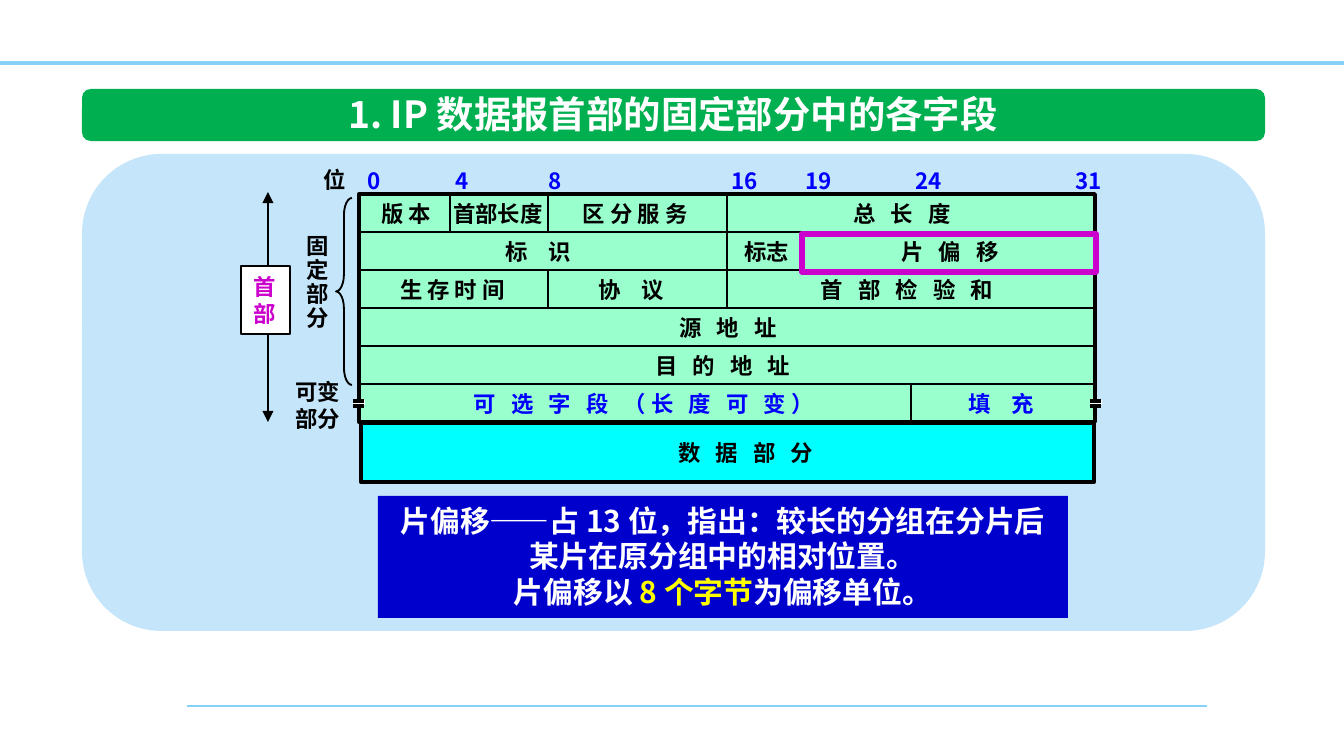
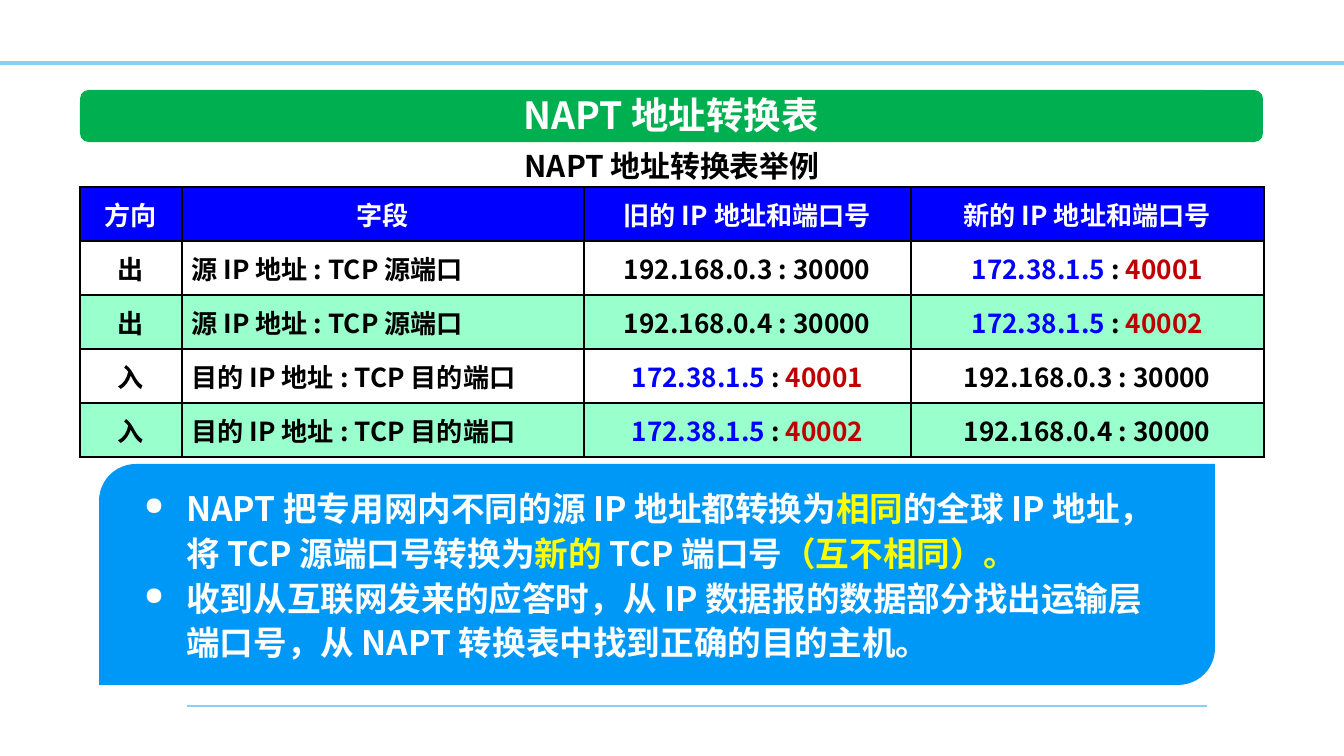
from lxml import etree
from pptx import Presentation
from pptx import util as u
from pptx.dml.color import RGBColor
from pptx.enum import shapes, text
from pptx.oxml.ns import qn

PX = 914400 / 134.4
FONT = "Noto Sans CJK SC"
KIND = shapes.MSO_SHAPE
MID = text.MSO_ANCHOR.MIDDLE
LEFT, CENTER, JUST = text.PP_ALIGN.LEFT, text.PP_ALIGN.CENTER, text.PP_ALIGN.JUSTIFY

BLACK = RGBColor(0, 0, 0)
WHITE = RGBColor(255, 255, 255)
SKY = RGBColor(0x85, 0xD1, 0xF7)
GREEN = RGBColor(0, 0xB0, 0x50)
PALE = RGBColor(0xC5, 0xE5, 0xFB)
MINT = RGBColor(0x99, 0xFF, 0xCC)
CYAN = RGBColor(0, 255, 255)
BLUE = RGBColor(0, 0, 255)
NAVY = RGBColor(0, 0, 0xCC)
AZURE = RGBColor(0, 0x98, 0xF6)
PINK = RGBColor(0xCC, 0, 0xCC)
RED = RGBColor(0xC0, 0, 0)
YELLOW = RGBColor(255, 255, 0)

# Header diagram: x of each bit edge, then fields as
# (text, first bit, end bit, spaces per gap, nudge, colour), row by row
EDGES = {0: 359, 4: 450, 8: 548, 16: 727, 19: 801, 24: 911, 32: 1095}
TOP, ROW = 194, 38
FIELDS = [
    [("版 本", 0, 4, 1, 2, BLACK), ("首部长度", 4, 8, 0, -1, BLACK),
     ("区 分 服 务", 8, 16, 1, -2, BLACK), ("总 长 度", 16, 32, 3, -9, BLACK)],
    [("标 识", 0, 16, 4, -5, BLACK), ("标志", 16, 19, 0, 3, BLACK),
     ("片 偏 移", 19, 32, 3, 2, BLACK)],
    [("生 存 时 间", 0, 8, 1, -1, BLACK), ("协 议", 8, 16, 4, -6, BLACK),
     ("首 部 检 验 和", 16, 32, 3, -4, BLACK)],
    [("源 地 址", 0, 32, 3, 1, BLACK)],
    [("目 的 地 址", 0, 32, 3, -4, BLACK)],
    [("可 选 字 段 （长 度 可 变）", 0, 24, 3, 9, BLUE),
     ("填 充", 24, 32, 4, -2, BLUE)],
]
BITS = [("0", 374), ("4", 462), ("8", 555), ("16", 745),
        ("19", 819), ("24", 929), ("31", 1089)]
OFFSET = [
    "片偏移——占 13 位，指出：较长的分组在分片后",
    "某片在原分组中的相对位置。",
    ["片偏移以 ", ("8 个字节", YELLOW), "为偏移单位。"],
]

# Address table
COLS = [102, 402, 327, 353]
HEAD = ["方向", "字段", "旧的 IP 地址和端口号", "新的 IP 地址和端口号"]
SOURCE, TARGET = "源 IP 地址 : TCP 源端口", "目的 IP 地址 : TCP 目的端口"
HOSTS = ["192.168.0.3 : 30000", "192.168.0.4 : 30000"]
PORTS = [[("172.38.1.5", BLUE), " : ", (port, RED)] for port in ("40001", "40002")]
ROWS = ([["出", SOURCE, host, port] for host, port in zip(HOSTS, PORTS)]
        + [["入", TARGET, port, host] for host, port in zip(HOSTS, PORTS)])
POINTS = [
    ["NAPT 把专用网内不同的源 IP 地址都转换为", ("相同", YELLOW),
     "的全球 IP 地址，将 TCP 源端口号转换为", ("新的 ", YELLOW),
     "TCP 端口号", ("（互不相同）。", YELLOW)],
    "收到从互联网发来的应答时，从 IP 数据报的数据部分找出运输层端口号，"
    "从 NAPT 转换表中找到正确的目的主机。",
]


def px(*nums):
    return [u.Emu(round(n * PX)) for n in nums]


def write(frame, paras, size, color, align=CENTER, space=None, track=0, bullet=False):
    """Each paragraph is a string or a list of strings and (string, colour) pairs."""
    for i, parts in enumerate(paras):
        para = frame.paragraphs[0] if i == 0 else frame.add_paragraph()
        para.alignment = align
        if space:
            para.line_spacing = space
        if bullet:
            props = para._p.get_or_add_pPr()
            indent = px(42)[0]
            props.set("marL", str(indent))
            props.set("indent", str(-indent))
            etree.SubElement(props, qn("a:buSzPct")).set("val", "75000")
            etree.SubElement(props, qn("a:buChar")).set("char", "●")
        font = para.font
        font.size, font.bold, font.name = u.Pt(size), True, FONT
        font.color.rgb = color
        etree.SubElement(font._rPr, qn("a:ea")).set("typeface", FONT)
        if track:
            font._rPr.set("spc", str(round(track * 100)))
        for part in [parts] if isinstance(parts, str) else parts:
            run = para.add_run()
            if isinstance(part, str):
                run.text = part
            else:
                run.text, run.font.color.rgb = part


def label(slide, paras, x, y, w, h, size=12, color=BLACK, wrap=False, **style):
    """Text box centred on x, y."""
    frame = slide.shapes.add_textbox(*px(x - w / 2, y - h / 2, w, h)).text_frame
    frame.word_wrap = wrap
    frame.vertical_anchor = MID
    write(frame, paras, size, color, **style)


def shape(slide, kind, x, y, w, h, fill=None, edge=None, width=1):
    item = slide.shapes.add_shape(kind, *px(x, y, w, h))
    item.shadow.inherit = False
    if fill is None:
        item.fill.background()
    else:
        item.fill.solid()
        item.fill.fore_color.rgb = fill
    if edge is None:
        item.line.fill.background()
    else:
        item.line.color.rgb = edge
        item.line.width = u.Pt(width)
    return item


def line(slide, x1, y1, x2, y2, color=BLACK, width=1, arrows=False):
    item = slide.shapes.add_connector(shapes.MSO_CONNECTOR.STRAIGHT, *px(x1, y1, x2, y2))
    item.line.color.rgb = color
    item.line.width = u.Pt(width)
    if arrows:
        for end in ("a:headEnd", "a:tailEnd"):
            etree.SubElement(item.line._get_or_add_ln(), qn(end)).set("type", "triangle")
    etree.SubElement(item._element.spPr, qn("a:effectLst"))


def start(deck, title, x, y):
    """New slide with its rules and title band."""
    slide = deck.slides.add_slide(deck.slide_layouts[6])
    line(slide, 187, 706, 1207, 706, SKY, 1.5)
    line(slide, 0, 63, 1344, 63, SKY, 2)
    shape(slide, KIND.ROUNDED_RECTANGLE, x, y, 1183, 52, GREEN)
    label(slide, [title], x + 591, y + 25, 740, 59, 20, WHITE)
    return slide


def header(slide):
    left, right = EDGES[0], EDGES[32]
    low = TOP + ROW * len(FIELDS)
    shape(slide, KIND.ROUNDED_RECTANGLE, 82, 154, 1183, 477, PALE)
    shape(slide, KIND.RECTANGLE, left, TOP, right - left, low - TOP, MINT, BLACK, 2)
    shape(slide, KIND.RECTANGLE, left + 2, low + 1, right - left - 3, 59, CYAN, BLACK, 2.25)
    for i, row in enumerate(FIELDS):
        y = TOP + ROW * i
        if i:
            line(slide, left, y, right, y)
        for name, first, end, gap, nudge, color in row:
            if first:
                line(slide, EDGES[first], y, EDGES[first], y + ROW)
            count = len(name.replace(" ", ""))
            label(slide, [name], (EDGES[first] + EDGES[end]) / 2 + nudge, y + 20,
                  32 + 23 * count + 7 * gap * (count - 1), 40, color=color,
                  track=max(0, gap - 1) * 1.35)
    for bit, x in BITS:
        label(slide, [bit], x, 181, 26 + 14 * len(bit), 40, color=BLUE)
    label(slide, ["位"], 335, 180, 54, 40)
    label(slide, ["数 据 部 分"], 746, 453, 273, 40, track=2.7)
    for x in (353, 1090):
        shape(slide, KIND.RECTANGLE, x, 400, 12, 5, WHITE)
        for y in (401, 406):
            line(slide, x, y, x + 11, y, width=2)
    label(slide, list("固定部分"), 318, 283, 54, 112, space=0.9)
    label(slide, ["可变", "部分"], 318, 405, 78, 67)
    brace = shape(slide, KIND.LEFT_BRACE, 336, 198, 16, 187, edge=BLACK)
    brace.adjustments[0] = 1.08
    line(slide, 268, 192, 268, 422, arrows=True)
    shape(slide, KIND.RECTANGLE, 241, 266, 49, 68, WHITE, BLACK)
    label(slide, ["首", "部"], 265, 300, 54, 68, color=PINK)
    shape(slide, KIND.RECTANGLE, 378, 496, 690, 122, NAVY)
    label(slide, OFFSET, 723, 556, 690, 122, 16, WHITE)
    shape(slide, KIND.RECTANGLE, 802, 234, 294, 38, edge=PINK, width=3)


def border(cell):
    props = cell._tc.get_or_add_tcPr()
    for i, side in enumerate(("a:lnL", "a:lnR", "a:lnT", "a:lnB")):
        edge = etree.Element(qn(side), w=str(u.Pt(1)))
        fill = etree.SubElement(edge, qn("a:solidFill"))
        etree.SubElement(fill, qn("a:srgbClr")).set("val", str(BLACK))
        props.insert(i, edge)


def grid(slide):
    rows = [HEAD] + ROWS
    frame = slide.shapes.add_table(len(rows), len(COLS), *px(80, 187, sum(COLS), 54 * len(rows)))
    table = frame.table
    table.first_row = table.horz_banding = False
    for col, width in zip(table.columns, px(*COLS)):
        col.width = width
    for r, row in enumerate(rows):
        table.rows[r].height = px(54)[0]
        for c, value in enumerate(row):
            cell = table.cell(r, c)
            cell.vertical_anchor = MID
            cell.margin_left = cell.margin_right = u.Inches(0.07)
            cell.margin_top = cell.margin_bottom = 0
            if r % 2:
                cell.fill.background()
            else:
                cell.fill.solid()
                cell.fill.fore_color.rgb = MINT if r else BLUE
            border(cell)
            write(cell.text_frame, [value], 14, BLACK if r else WHITE,
                  JUST if r and c == 1 else CENTER)


def main():
    deck = Presentation()
    deck.slide_width, deck.slide_height = px(1344, 756)

    header(start(deck, "1. IP 数据报首部的固定部分中的各字段", 82, 89))

    slide = start(deck, "NAPT 地址转换表", 80, 90)
    label(slide, ["NAPT 地址转换表举例"], 672, 166, 335, 50, 16)
    grid(slide)
    shape(slide, KIND.ROUND_2_DIAG_RECTANGLE, 99, 464, 1116, 221, AZURE)
    label(slide, POINTS, 656, 573, 1050, 195, 18, WHITE, wrap=True,
          align=LEFT, space=u.Pt(24), bullet=True)
    deck.save("out.pptx")


if __name__ == "__main__":
    main()
